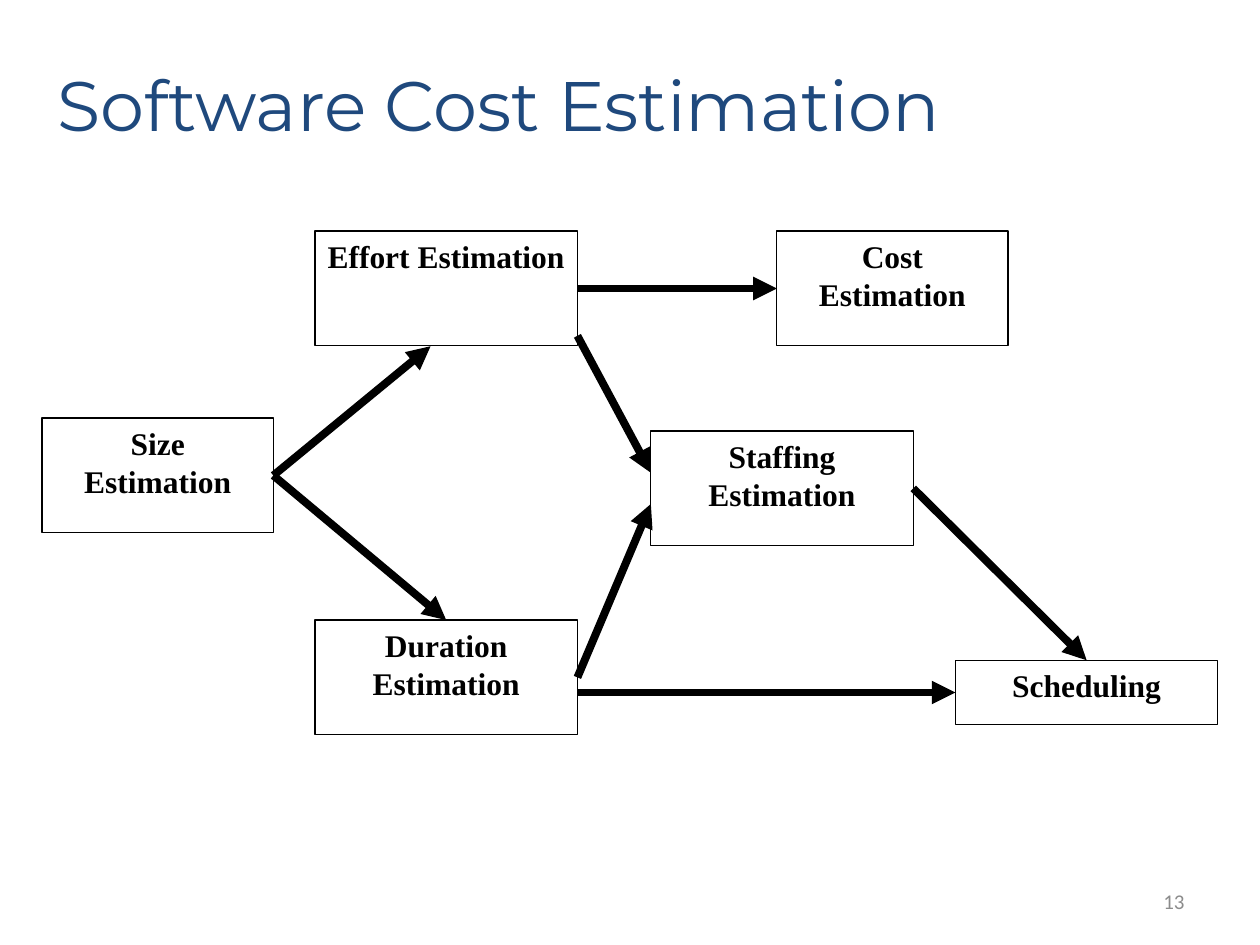
from dataclasses import dataclass

from lxml.etree import SubElement
from pptx import Presentation
from pptx.dml.color import RGBColor
from pptx.enum.shapes import MSO_CONNECTOR, MSO_SHAPE
from pptx.enum.text import MSO_ANCHOR, PP_ALIGN
from pptx.oxml.ns import qn
from pptx.util import Cm, Pt


@dataclass(frozen=True)
class Theme:
    ink: RGBColor = RGBColor(0x00, 0x00, 0x00)
    title_color: RGBColor = RGBColor(0x1F, 0x49, 0x7D)
    number_color: RGBColor = RGBColor(0x8C, 0x8C, 0x8C)
    title_font: str = "Montserrat"
    step_font: str = "Times New Roman"
    number_font: str = "Calibri"
    title_size: Pt = Pt(40)
    step_size: Pt = Pt(18)
    number_size: Pt = Pt(12)
    outline: Pt = Pt(0.75)
    arrow: Pt = Pt(4.5)


THEME = Theme()
NARROW, WIDE = 4.66, 5.29
TALL, SHORT = 2.31, 1.3
RIGHT_OF_MIDDLE_COLUMN = 6.35 + WIDE
LEFT_OF_STAFFING = 13.12
TOP, LEFT, BOTTOM, RIGHT = range(4)

# Step: left, top, width, height in cm
STEPS = {
    "Size Estimation": (0.85, 8.43, NARROW, TALL),
    "Effort Estimation": (6.35, 4.66, WIDE, TALL),
    "Cost Estimation": (15.66, 4.66, NARROW, TALL),
    "Duration Estimation": (6.35, 12.5, WIDE, TALL),
    "Staffing Estimation": (LEFT_OF_STAFFING, 8.69, WIDE, TALL),
    "Scheduling": (19.26, 13.31, WIDE, SHORT),
}

# Each end is either (step, side) or a free point (x, y) in cm
FLOWS = [
    (("Size Estimation", RIGHT), (8.68, 6.98)),
    (("Size Estimation", RIGHT), ("Duration Estimation", TOP)),
    (("Effort Estimation", RIGHT), ("Cost Estimation", LEFT)),
    ((RIGHT_OF_MIDDLE_COLUMN, 6.77), (LEFT_OF_STAFFING, 9.53)),
    (("Duration Estimation", RIGHT), (LEFT_OF_STAFFING, 10.16)),
    ((RIGHT_OF_MIDDLE_COLUMN, 13.96), ("Scheduling", LEFT)),
    (("Staffing Estimation", RIGHT), ("Scheduling", TOP)),
]


def write(frame, text, font, size, color, align, bold=False):
    frame.word_wrap = True
    paragraph = frame.paragraphs[0]
    paragraph.text = text
    paragraph.alignment = align
    paragraph.font.name = font
    paragraph.font.size = size
    paragraph.font.bold = bold
    paragraph.font.color.rgb = color
    return paragraph


def add_label(slide, area, *style):
    frame = slide.shapes.add_textbox(*map(Cm, area)).text_frame
    frame.vertical_anchor = MSO_ANCHOR.MIDDLE
    return frame, write(frame, *style)


def add_step(slide, name, area):
    step = slide.shapes.add_shape(MSO_SHAPE.RECTANGLE, *map(Cm, area))
    step.shadow.inherit = False
    step.fill.background()
    step.line.color.rgb = THEME.ink
    step.line.width = THEME.outline
    step.text_frame.vertical_anchor = MSO_ANCHOR.TOP
    label = write(step.text_frame, name, THEME.step_font, THEME.step_size,
                  THEME.ink, PP_ALIGN.CENTER, bold=True)
    label.space_before = THEME.step_size // 2
    return step


def add_flow(slide, steps, start, end):
    # Joined ends are moved onto their step by the connect calls
    points = [(0, 0) if place[0] in steps else place for place in (start, end)]
    flow = slide.shapes.add_connector(
        MSO_CONNECTOR.STRAIGHT, *(Cm(value) for point in points for value in point))
    for place, join in ((start, flow.begin_connect), (end, flow.end_connect)):
        if place[0] in steps:
            join(steps[place[0]], place[1])
    flow.line.color.rgb = THEME.ink
    flow.line.width = THEME.arrow
    SubElement(flow.line._get_or_add_ln(), qn("a:tailEnd"), type="triangle")
    SubElement(flow._element.spPr, qn("a:effectLst"))


def main():
    presentation = Presentation()
    presentation.slide_width, presentation.slide_height = Cm(25.4), Cm(19.05)
    slide = presentation.slides.add_slide(presentation.slide_layouts[6])

    # Slide number
    add_label(slide, (18.2, 17.66, 5.93, 1.01), "13", THEME.number_font,
              THEME.number_size, THEME.number_color, PP_ALIGN.RIGHT)

    # Estimation steps and the flows between them
    steps = {name: add_step(slide, name, area) for name, area in STEPS.items()}
    for start, end in FLOWS:
        add_flow(slide, steps, start, end)

    # Title
    frame, title = add_label(
        slide, (1.11, 0.5, 21.59, 3.18), "Software Cost Estimation",
        THEME.title_font, THEME.title_size, THEME.title_color, PP_ALIGN.LEFT)
    frame.margin_left = frame.margin_right = Cm(0.05)
    title.space_before = Pt(9.9)

    presentation.save("out.pptx")


if __name__ == "__main__":
    main()
